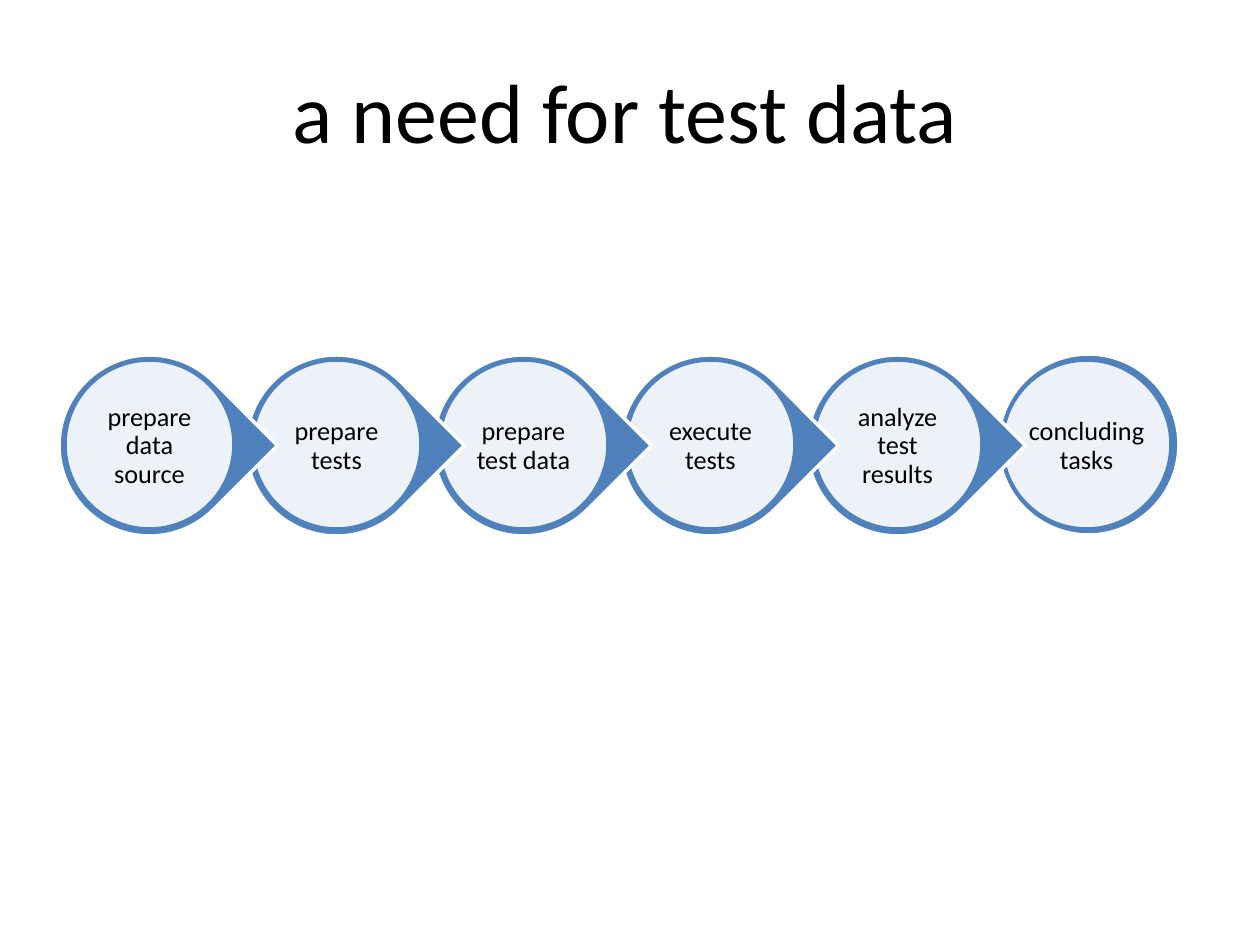
from lxml.etree import SubElement
from pptx import Presentation
from pptx.dml.color import RGBColor
from pptx.enum.shapes import MSO_SHAPE
from pptx.enum.text import MSO_ANCHOR, MSO_AUTO_SIZE, PP_ALIGN
from pptx.oxml.ns import qn
from pptx.util import Emu, Inches, Pt

HUES = {"blue": "4F81BD", "white": "FFFFFF", "black": "000000"}
STEPS = ["prepare data source", "prepare tests", "prepare test data",
         "execute tests", "analyze test results", "concluding tasks"]
SCALE = 914400 / 126  # EMU per px


def box(*sides):
    return [Emu(round(side * SCALE)) for side in sides]


def write(shape, text, size, anchor=MSO_ANCHOR.MIDDLE, inset=None,
          space=1.0, fit=MSO_AUTO_SIZE.NONE):
    frame = shape.text_frame
    frame.text = text
    frame.word_wrap = True
    frame.auto_size = fit
    frame.vertical_anchor = anchor
    if inset is not None:
        pad = box(inset)[0]
        frame.margin_left = frame.margin_right = pad
        frame.margin_top = frame.margin_bottom = pad
    para = frame.paragraphs[0]
    para.alignment = PP_ALIGN.CENTER
    para.line_spacing = space
    font = para.runs[0].font
    font.name = "Calibri"
    font.size = Pt(size)
    font.color.rgb = RGBColor.from_string(HUES["black"])


deck = Presentation()
deck.slide_width, deck.slide_height = Inches(10), Inches(7.5)
slide = deck.slides.add_slide(deck.slide_layouts[5])
shapes = slide.shapes

# Title
title = shapes.title
title.left, title.top, title.width, title.height = box(63, 53, 1124, 115)
write(title, "a need for test data", 48, anchor=MSO_ANCHOR.TOP,
      fit=MSO_AUTO_SIZE.SHAPE_TO_FIT_TEXT)

# Chain of steps, last one first so that each tip covers the next step
last = len(STEPS) - 1
for i in range(last, -1, -1):
    left = 59 + 187 * i
    if i == last:
        left += 2
        back = (MSO_SHAPE.OVAL, left + 2, 354, 181, 0)
    else:
        back = (MSO_SHAPE.TEAR, left, 355, 181, 45)
    disc = (MSO_SHAPE.OVAL, left + 6, 360, 169, 0)

    # Pointer behind, pale disc in front
    for part, fill, line in ((back, "blue", "white"), (disc, "white", "blue")):
        kind, x, y, size, turn = part
        shape = shapes.add_shape(kind, *box(x, y, size, size))
        shape.shadow.inherit = False
        shape.rotation = turn
        shape.fill.solid()
        shape.fill.fore_color.rgb = RGBColor.from_string(HUES[fill])
        shape.line.color.rgb = RGBColor.from_string(HUES[line])
        shape.line.width = Pt(2)

    # Let a little blue through the disc
    tint = shape.fill._xPr.find(qn("a:solidFill"))[0]
    SubElement(tint, qn("a:alpha"), val="90000")

    # Label
    label = shapes.add_textbox(*box(left + 30, 386, 121, 121))
    write(label, STEPS[i], 15, inset=2, space=0.9)

deck.save("out.pptx")
